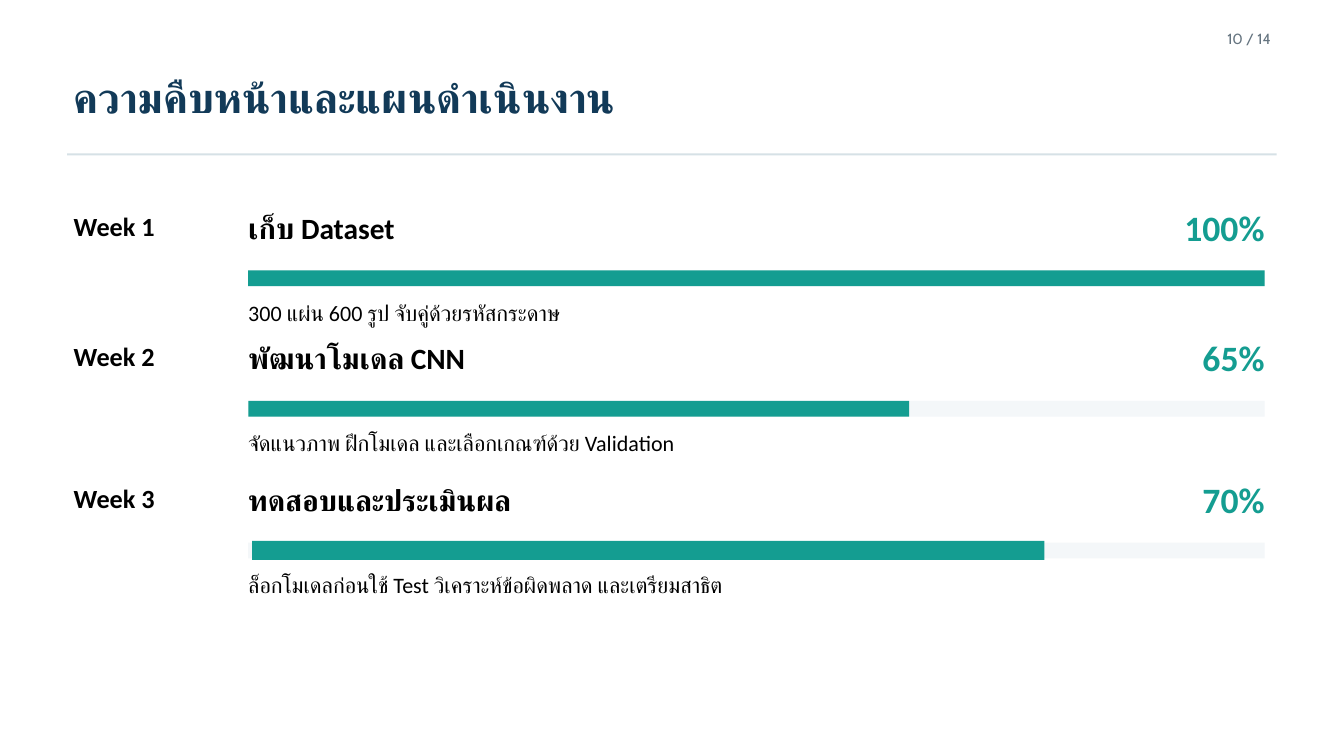
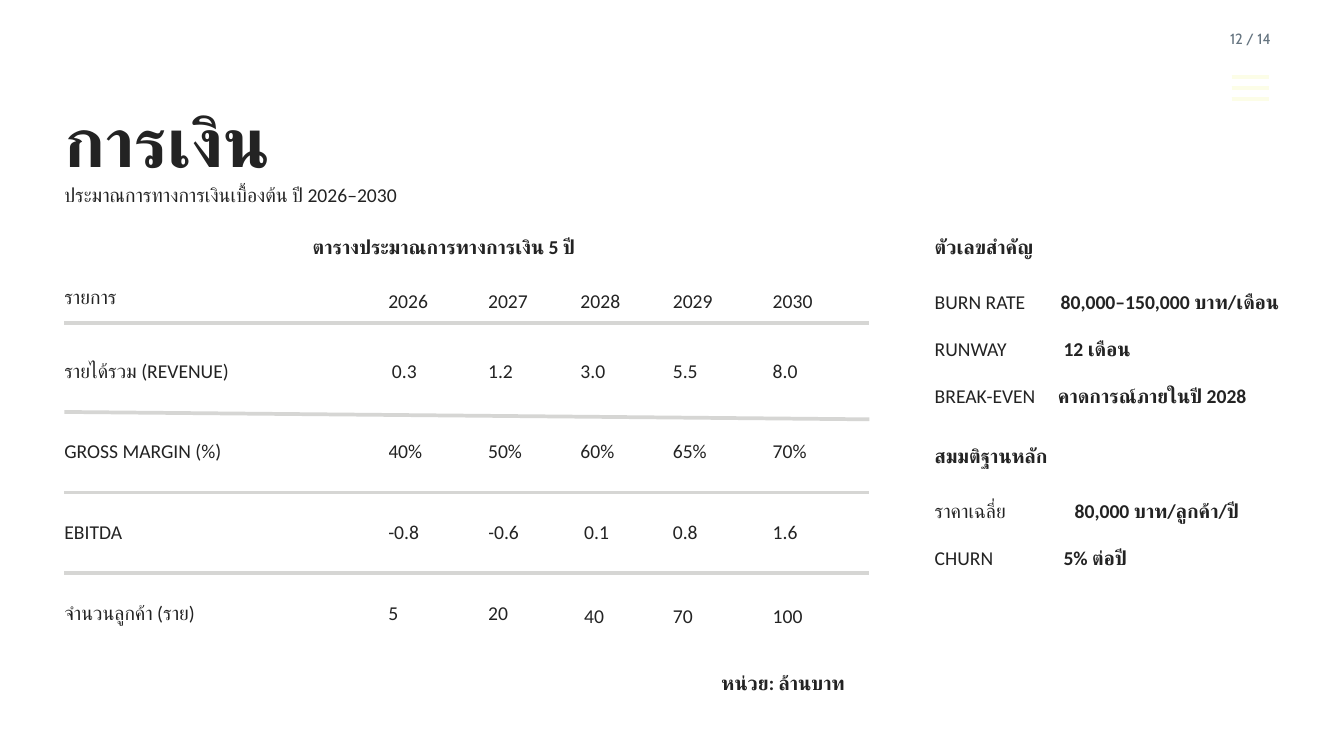
from lxml.etree import SubElement
from pptx import Presentation
from pptx.dml.color import RGBColor
from pptx.enum.shapes import MSO_CONNECTOR, MSO_SHAPE
from pptx.enum.text import MSO_ANCHOR, MSO_AUTO_SIZE, PP_ALIGN
from pptx.oxml.ns import qn
from pptx.util import Pt

NAVY, TEAL, BLACK, INK = "123A58", "149D91", "000000", "232323"
GREY, RULE, TRACK = "657480", "D6E1E6", "F4F7F9"
TABLE_RULE, PALE_YELLOW = "D6D6D4", "FCFDE7"
BODY_SIZE = 21


def color(value):
    """Turn a hex string into a colour."""
    return RGBColor.from_string(value)


class Deck:
    """Holds the style and the current slide."""

    def __init__(self, width, height, page_count):
        """Start an empty presentation."""
        self.presentation = Presentation()
        self.presentation.slide_width = Pt(width)
        self.presentation.slide_height = Pt(height)
        self.page_count = page_count
        self.slide = None

    def add_slide(self, number):
        """Add a blank slide with its page number."""
        self.slide = self.presentation.slides.add_slide(self.presentation.slide_layouts[6])
        self.text(1240.5, 31.5, 121, f"{number} / {self.page_count}", 15.75, GREY,
                  font="Cabin", align=PP_ALIGN.RIGHT)

    def style(self, paragraph, size, ink, bold=False, font="Calibri", align=PP_ALIGN.LEFT):
        """Set the font and line height of a paragraph."""
        paragraph.alignment = align
        paragraph.line_spacing = Pt(size * 1.2)
        paragraph.font.name = font
        paragraph.font.size = Pt(size)
        paragraph.font.bold = bold
        paragraph.font.color.rgb = color(ink)
        SubElement(paragraph._p.pPr.defRPr, qn("a:cs"), typeface=font)

    def frame(self, left, top, width, height):
        """Add a text box without margins and return its frame."""
        frame = self.slide.shapes.add_textbox(Pt(left), Pt(top), Pt(width), Pt(height)).text_frame
        frame.margin_left = frame.margin_top = frame.margin_right = frame.margin_bottom = 0
        frame.word_wrap = True
        frame.auto_size = MSO_AUTO_SIZE.SHAPE_TO_FIT_TEXT
        return frame

    def text(self, left, top, width, words, size=BODY_SIZE, ink=INK, **options):
        """Add one line of text."""
        paragraph = self.frame(left, top, width, size * 1.2).paragraphs[0]
        paragraph.add_run().text = words
        self.style(paragraph, size, ink, **options)

    def facts(self, left, top, width, rows):
        """Add a list of labels, each with a bold value at its tab stop."""
        line = BODY_SIZE * 1.2
        frame = self.frame(left, top, width, line * (2 * len(rows) - 1))
        for index, (label, value, tab) in enumerate(rows):
            paragraph = frame.add_paragraph() if index else frame.paragraphs[0]
            if index:
                paragraph.space_before = Pt(line)
            tabs = SubElement(paragraph._p.get_or_add_pPr(), qn("a:tabLst"))
            SubElement(tabs, qn("a:tab"), pos=str(Pt(tab)), algn="l")
            paragraph.add_run().text = f"{label}\t"
            run = paragraph.add_run()
            run.text = value
            run.font.bold = True
            self.style(paragraph, BODY_SIZE, INK)

    def bar(self, left, top, width, height, fill):
        """Add a plain filled rectangle."""
        shape = self.slide.shapes.add_shape(
            MSO_SHAPE.RECTANGLE, Pt(left), Pt(top), Pt(width), Pt(height))
        shape.shadow.inherit = False
        shape.fill.solid()
        shape.fill.fore_color.rgb = color(fill)
        shape.line.fill.background()

    def line(self, left, top, right, bottom, ink):
        """Add a straight line."""
        connector = self.slide.shapes.add_connector(
            MSO_CONNECTOR.STRAIGHT, Pt(left), Pt(top), Pt(right), Pt(bottom))
        connector.line.color.rgb = color(ink)
        connector.line.width = Pt(4)
        SubElement(connector._element.spPr, qn("a:effectLst"))

    def table(self, left, top, widths, heights, rows, nudges):
        """Add an unfilled table; nudges move single cells right and down."""
        table = self.slide.shapes.add_table(
            len(rows), len(widths), Pt(left), Pt(top), Pt(sum(widths)), Pt(sum(heights))).table
        table.first_row = table.horz_banding = False
        for column, width in zip(table.columns, widths):
            column.width = Pt(width)
        for row_index, (row, height) in enumerate(zip(rows, heights)):
            table.rows[row_index].height = Pt(height)
            for column_index, words in enumerate(row):
                right, down = nudges.get((row_index, column_index), (0, 0))
                cell = table.cell(row_index, column_index)
                cell.fill.background()
                cell.vertical_anchor = MSO_ANCHOR.MIDDLE
                cell.margin_left, cell.margin_right = Pt(right), 0
                cell.margin_top = Pt(max(2 * down, 0))
                cell.margin_bottom = Pt(max(-2 * down, 0))
                paragraph = cell.text_frame.paragraphs[0]
                paragraph.add_run().text = words
                self.style(paragraph, BODY_SIZE, INK)


def build_progress(deck):
    """Build the weekly progress slide."""
    deck.add_slide(10)
    deck.text(79, 77, 1282, "ความคืบหน้าและแผนดำเนินงาน", 45, NAVY, bold=True, font="Cabin")
    deck.bar(72, 164.2, 1296, 2.3, RULE)

    track_left, track_width, track_height = 266, 1089, 16.8
    weeks = [
        (224.8, "เก็บ Dataset", "100%", "300 แผ่น 600 รูป จับคู่ด้วยรหัสกระดาษ", 0, 1089, 0),
        (364.6, "พัฒนาโมเดล CNN", "65%",
         "จัดแนวภาพ ฝึกโมเดล และเลือกเกณฑ์ด้วย Validation", 0, 708, 0),
        (516.4, "ทดสอบและประเมินผล", "70%",
         "ล็อกโมเดลก่อนใช้ Test วิเคราะห์ข้อผิดพลาด และเตรียมสาธิต", 4, 849, 1.8),
    ]
    for number, (top, task, percent, note, inset, done, bleed) in enumerate(weeks, 1):
        bar_top = top + 65
        deck.text(79, top, 158, f"Week {number}", 28.1, BLACK, bold=True)
        deck.text(track_left, top, 900, task, 31.5, BLACK, bold=True)
        deck.text(1223, top - 4.8, 132, percent, 38.25, TEAL, bold=True, align=PP_ALIGN.RIGHT)
        deck.bar(track_left, bar_top, track_width, track_height, TRACK)
        deck.bar(track_left + inset, bar_top - bleed, done, track_height + 2 * bleed, TEAL)
        deck.text(track_left, top + 96, track_width, note, 23.6, BLACK)


def build_finance(deck):
    """Build the financial forecast slide."""
    deck.add_slide(12)
    for index in range(3):
        top = 82.8 + 11.8 * index
        deck.line(1320, top, 1359.5, top, PALE_YELLOW)

    left, right, panel_left, panel_width = 69, 931.5, 1001.5, 410
    deck.text(left, 105, 482, "การเงิน", 74, bold=True)
    deck.text(left, 196, 877, "ประมาณการทางการเงินเบื้องต้น ปี 2026–2030")
    deck.text(335, 251.3, 597, "ตารางประมาณการทางการเงิน 5 ปี", bold=True)

    rows = [
        ("รายการ", *map(str, range(2026, 2031))),
        ("รายได้รวม (REVENUE)", "0.3", "1.2", "3.0", "5.5", "8.0"),
        ("GROSS MARGIN (%)", "40%", "50%", "60%", "65%", "70%"),
        ("EBITDA", "-0.8", "-0.6", "0.1", "0.8", "1.6"),
        ("จำนวนลูกค้า (ราย)", "5", "20", "40", "70", "100"),
    ]
    nudges = {(0, 0): (0, -4), (1, 1): (4, 0), (3, 3): (4, 0),
              (4, 3): (4, 4), (4, 4): (0, 4), (4, 5): (0, 4)}
    deck.table(left, 292.4, [347, 107, 99, 99, 107, 103.5], [62.6] + [86.4] * 4, rows, nudges)
    for start, end in [(346.3, 346.3), (441.4, 449.3), (527.8, 527.8), (614.2, 614.2)]:
        deck.line(left, start, right, end, TABLE_RULE)
    deck.text(773, 718.6, 158.5, "หน่วย: ล้านบาท", bold=True)

    deck.text(panel_left, 251.3, panel_width, "ตัวเลขสำคัญ", bold=True)
    deck.facts(panel_left, 311, panel_width, [
        ("BURN RATE", "80,000–150,000 บาท/เดือน", 135),
        ("RUNWAY", "12 เดือน", 138),
        ("BREAK-EVEN", "คาดการณ์ภายในปี 2028", 132),
    ])
    deck.text(panel_left, 475.2, panel_width, "สมมติฐานหลัก", bold=True)
    deck.facts(panel_left, 534.2, panel_width, [
        ("ราคาเฉลี่ย", "80,000 บาท/ลูกค้า/ปี", 150),
        ("CHURN", "5% ต่อปี", 138),
    ])


def main():
    """Build both slides and save them."""
    deck = Deck(1440, 810, 14)
    build_progress(deck)
    build_finance(deck)
    deck.presentation.save("out.pptx")


if __name__ == "__main__":
    main()
